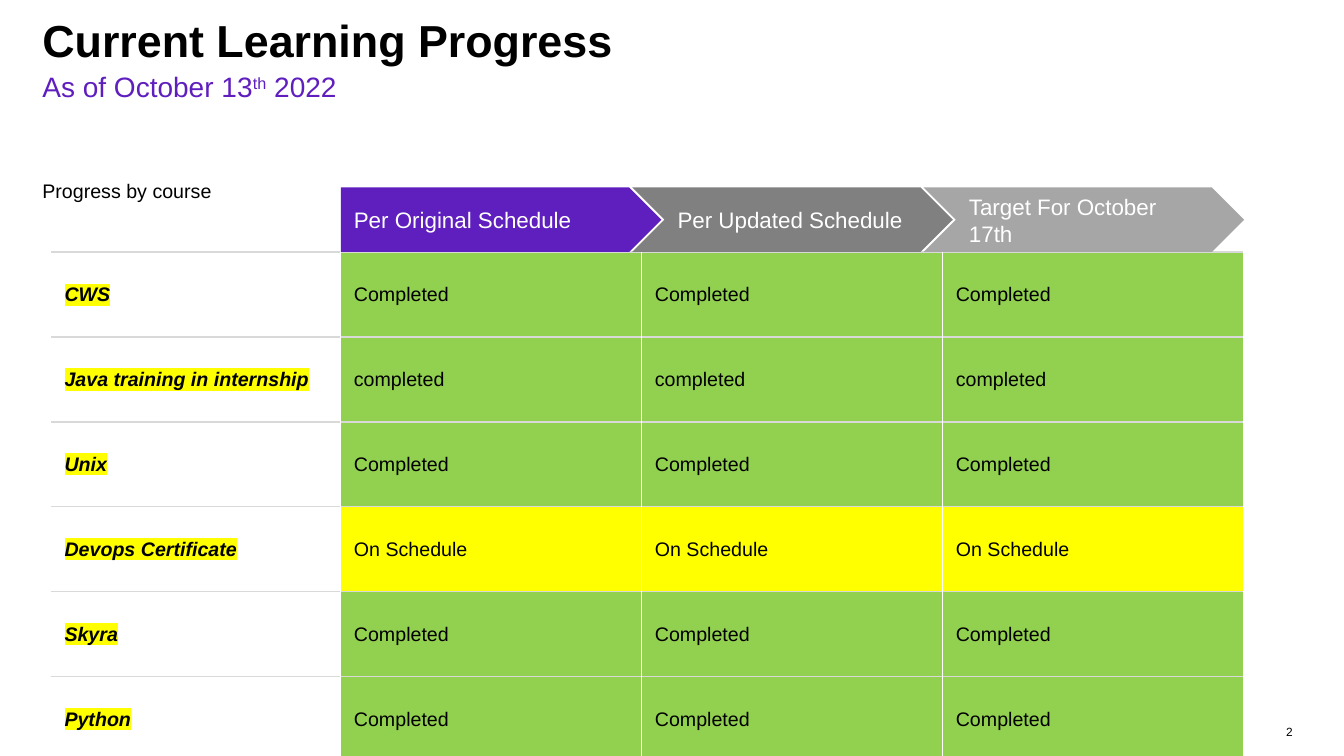
from lxml.etree import SubElement
from pptx import Presentation
from pptx.dml.color import RGBColor
from pptx.enum.shapes import MSO_SHAPE
from pptx.enum.text import MSO_ANCHOR, PP_ALIGN
from pptx.oxml import parse_xml
from pptx.oxml.ns import nsdecls, qn
from pptx.util import Inches, Pt

COLORS = {
    "black": "000000",
    "white": "FFFFFF",
    "purple": "5F1EBE",
    "gray": "808080",
    "light_gray": "A6A6A6",
    "rule": "D9D9D9",
    "green": "92D050",
    "yellow": "FFFF00",
}
FONT = "Arial"
PAD = 0.13


def rgb(name):
    return RGBColor.from_string(COLORS[name])


def add_text(p, text, size=14, color="black", bold=False, italic=False,
             highlight=None, baseline=None):
    r = p.add_run()
    r.text = text
    r.font.size = Pt(size)
    r.font.name = FONT
    r.font.bold = bold
    r.font.italic = italic
    r.font.color.rgb = rgb(color)
    rPr = r.font._element
    if baseline:
        rPr.set("baseline", str(baseline * 1000))
    if highlight:
        mark = parse_xml(f'<a:highlight {nsdecls("a")}>'
                         f'<a:srgbClr val="{COLORS[highlight]}"/></a:highlight>')
        rPr.find(qn("a:solidFill")).addnext(mark)


class ProgressSlide:
    def __init__(self, prs):
        self.slide = prs.slides.add_slide(prs.slide_layouts[6])
        self.shapes = self.slide.shapes

    def set_margins(self, target, left, top, right, bottom):
        target.margin_left = Inches(left)
        target.margin_top = Inches(top)
        target.margin_right = Inches(right)
        target.margin_bottom = Inches(bottom)

    def text_box(self, x, y, w, h, runs, margins=(0, 0.05, 0.1, 0.05),
                 anchor=MSO_ANCHOR.MIDDLE, align=PP_ALIGN.LEFT, spacing=1.0):
        sp = self.shapes.add_textbox(Inches(x), Inches(y), Inches(w), Inches(h))
        tf = sp.text_frame
        tf.word_wrap = True
        tf.vertical_anchor = anchor
        self.set_margins(tf, *margins)
        p = tf.paragraphs[0]
        p.alignment = align
        p.line_spacing = spacing
        for text, style in runs:
            add_text(p, text, **style)

    def arrow(self, kind, x, y, w, h, text, color):
        sp = self.shapes.add_shape(kind, Inches(x), Inches(y), Inches(w), Inches(h))
        sp.shadow.inherit = False
        sp.fill.solid()
        sp.fill.fore_color.rgb = rgb(color)
        sp.line.fill.background()
        tf = sp.text_frame
        tf.word_wrap = True
        tf.vertical_anchor = MSO_ANCHOR.MIDDLE
        self.set_margins(tf, PAD, PAD, PAD, PAD)
        p = tf.paragraphs[0]
        p.alignment = PP_ALIGN.LEFT
        add_text(p, text, size=16, color="white")

    def borders(self, cell):
        tcPr = cell._tc.get_or_add_tcPr()
        for side in ("lnL", "lnR", "lnT", "lnB"):
            ln = SubElement(tcPr, qn(f"a:{side}"), w=str(Pt(1)))
            if side in ("lnL", "lnR"):
                SubElement(ln, qn("a:noFill"))
            else:
                fill = SubElement(ln, qn("a:solidFill"))
                SubElement(fill, qn("a:srgbClr"), val=COLORS["rule"])

    def column(self, x, y, w, row_h, entries, **style):
        frame = self.shapes.add_table(len(entries), 1, Inches(x), Inches(y),
                                      Inches(w), Inches(row_h * len(entries)))
        table = frame.table
        table.first_row = False
        table.horz_banding = False
        for i, (text, color) in enumerate(entries):
            table.rows[i].height = Inches(row_h)
            cell = table.cell(i, 0)
            cell.vertical_anchor = MSO_ANCHOR.MIDDLE
            self.set_margins(cell, PAD, PAD, PAD, PAD)
            self.borders(cell)
            if color:
                cell.fill.solid()
                cell.fill.fore_color.rgb = rgb(color)
            else:
                cell.fill.background()
            add_text(cell.text_frame.paragraphs[0], text, **style)


def main():
    prs = Presentation()
    prs.slide_width = Inches(13.33)
    prs.slide_height = Inches(7.5)
    s = ProgressSlide(prs)

    subtitle = {"size": 20, "color": "purple"}
    s.text_box(0.42, 0.17, 12.5, 0.52,
               [("Current Learning Progress", {"size": 32, "bold": True})], spacing=0.9)
    s.text_box(0.42, 0.69, 12.5, 0.38,
               [("As of October 13", subtitle),
                ("th", {**subtitle, "baseline": 30}),
                (" 2022", subtitle)], spacing=0.9)
    s.text_box(0.42, 1.77, 12.31, 0.19, [("Progress by course", {})],
               margins=(0, 0, 0, 0), anchor=MSO_ANCHOR.TOP)
    s.text_box(12.33, 7.09, 0.59, 0.33, [("2", {"size": 8.5})],
               margins=(0.1, 0.05, 0.1, 0.05), align=PP_ALIGN.RIGHT)

    courses = [
        ("CWS", "Completed"),
        ("Java training in internship", "completed"),
        ("Unix", "Completed"),
        ("Devops Certificate", "On Schedule"),
        ("Skyra", "Completed"),
        ("Python", "Completed"),
    ]
    schedules = [
        ("Per Original Schedule", "purple", MSO_SHAPE.PENTAGON),
        ("Per Updated Schedule", "gray", MSO_SHAPE.CHEVRON),
        ("Target For October 17th", "light_gray", MSO_SHAPE.CHEVRON),
    ]
    top, row_h, left = 2.5, 0.843, 3.38
    s.column(0.51, top, 2.86, row_h, [(name, None) for name, _ in courses],
             bold=True, italic=True, highlight="yellow")
    statuses = [(status, "yellow" if status == "On Schedule" else "green")
                for _, status in courses]
    for i, (heading, color, kind) in enumerate(schedules):
        s.column(left + 2.985 * i, top, 2.98, row_h, statuses)
        s.arrow(kind, left + 2.89 * i, 1.86, 3.18, 0.64, heading, color)

    prs.save("out.pptx")


if __name__ == "__main__":
    main()
